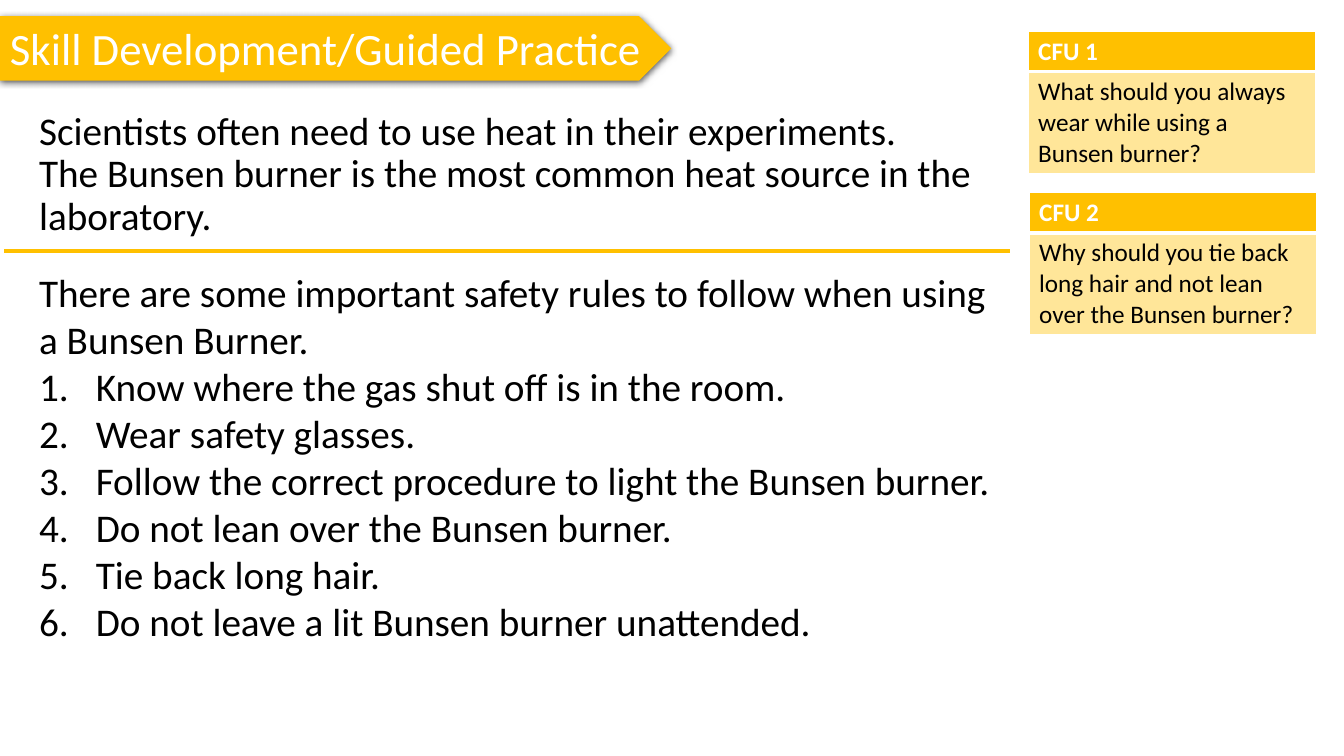
import pptx
import pptx.dml.color
import pptx.enum.shapes
import pptx.enum.text
import pptx.oxml
import pptx.oxml.ns
import pptx.util

Pt = pptx.util.Pt
RGBColor = pptx.dml.color.RGBColor
GOLD = RGBColor(0xFF, 0xC0, 0x00)
CREAM = RGBColor(0xFF, 0xE6, 0x99)
WHITE = RGBColor(0xFF, 0xFF, 0xFF)
BLACK = RGBColor(0x00, 0x00, 0x00)
FONT = "Calibri"
NS = pptx.oxml.ns.nsdecls("a")

INTRO = [
    "Scientists often need to use heat in their experiments.",
    "The Bunsen burner is the most common heat source in the laboratory.",
]
RULES_LEAD = "There are some important safety rules to follow when using a Bunsen Burner."
RULES = [
    "Know where the gas shut off is in the room.",
    "Wear safety glasses.",
    "Follow the correct procedure to light the Bunsen burner.",
    "Do not lean over the Bunsen burner.",
    "Tie back long hair.",
    "Do not leave a lit Bunsen burner unattended.",
]
CHECKS = [
    ("CFU 1", "What should you always wear while using a Bunsen burner?", 734.4, 22.3),
    ("CFU 2", "Why should you tie back long hair and not lean over the Bunsen burner?", 735.1, 137.5),
]


def style(p, size, color, bold=False):
    """Set the font of every run in a paragraph."""
    for r in p.runs:
        r.font.name = FONT
        r.font.size = Pt(size)
        r.font.bold = bold
        r.font.color.rgb = color


def add_banner(s, text, x, y, w, h):
    """Draw the arrow-shaped title banner with its soft shadow."""
    sp = s.shapes.add_shape(pptx.enum.shapes.MSO_SHAPE.PENTAGON, Pt(x), Pt(y), Pt(w), Pt(h))
    sp.fill.solid()
    sp.fill.fore_color.rgb = GOLD
    sp.line.fill.background()
    sp.shadow.inherit = False
    effects = sp._element.spPr.find(pptx.oxml.ns.qn("a:effectLst"))
    effects.append(pptx.oxml.parse_xml(
        f'<a:outerShdw {NS} blurRad="{Pt(4.5)}" dist="{Pt(1.5)}" dir="5400000" rotWithShape="0">'
        '<a:srgbClr val="000000"><a:alpha val="63000"/></a:srgbClr></a:outerShdw>'))
    tf = sp.text_frame
    tf.word_wrap = False
    tf.auto_size = pptx.enum.text.MSO_AUTO_SIZE.SHAPE_TO_FIT_TEXT
    tf.vertical_anchor = pptx.enum.text.MSO_ANCHOR.TOP
    p = tf.paragraphs[0]
    p.text = text
    p.alignment = pptx.enum.text.PP_ALIGN.LEFT
    style(p, 32, WHITE)


def add_body(s, lines, x, y, w, h, spacing=1.0, numbered_from=None):
    """Write paragraphs in a box, numbering those from the given index on."""
    tf = s.shapes.add_textbox(Pt(x), Pt(y), Pt(w), Pt(h)).text_frame
    tf.word_wrap = True
    for i, line in enumerate(lines):
        p = tf.add_paragraph() if i else tf.paragraphs[0]
        p.text = line
        p.line_spacing = spacing
        if numbered_from is not None and i >= numbered_from:
            pPr = p._p.get_or_add_pPr()
            pPr.set("marL", str(Pt(40.5)))
            pPr.set("indent", str(-Pt(40.5)))
            pPr.append(pptx.oxml.parse_xml(f'<a:buFont {NS} typeface="+mj-lt"/>'))
            pPr.append(pptx.oxml.parse_xml(f'<a:buAutoNum {NS} type="arabicPeriod"/>'))
        style(p, 28, BLACK)


def add_divider(s, x, y, w):
    """Draw the horizontal rule between the two text blocks."""
    line = s.shapes.add_connector(
        pptx.enum.shapes.MSO_CONNECTOR.STRAIGHT, Pt(x), Pt(y), Pt(x + w), Pt(y))
    line.line.color.rgb = GOLD
    line.line.width = Pt(2.25)
    line._element.spPr.append(pptx.oxml.parse_xml(f"<a:effectLst {NS}/>"))


def set_borders(cell, widths):
    """Give a cell white borders: left, right, top, bottom."""
    tcPr = cell._tc.get_or_add_tcPr()
    for i, (side, width) in enumerate(zip("LRTB", widths)):
        tcPr.insert(i, pptx.oxml.parse_xml(
            f'<a:ln{side} {NS} w="{Pt(width)}"><a:solidFill><a:srgbClr val="{WHITE}"/>'
            f"</a:solidFill></a:ln{side}>"))


def add_check(s, title, question, x, y, w, h):
    """Draw a check-for-understanding card as a two-row table."""
    header_h = 28.1
    table = s.shapes.add_table(2, 1, Pt(x), Pt(y), Pt(w), Pt(h)).table
    table.horz_banding = False
    rows = [
        (title, header_h, GOLD, WHITE, True, (1, 1, 1, 3)),
        (question, h - header_h, CREAM, BLACK, False, (1, 1, 3, 1)),
    ]
    for i, (text, height, fill, color, bold, widths) in enumerate(rows):
        table.rows[i].height = Pt(height)
        cell = table.cell(i, 0)
        cell.text_frame.text = text
        cell.fill.solid()
        cell.fill.fore_color.rgb = fill
        style(cell.text_frame.paragraphs[0], 18, color, bold)
        set_borders(cell, widths)


def main():
    """Build the slide and save it."""
    prs = pptx.Presentation()
    prs.slide_width, prs.slide_height = Pt(960), Pt(540)
    s = prs.slides.add_slide(prs.slide_layouts[6])
    add_banner(s, "Skill Development/Guided Practice", 0, 11.5, 479.5, 46)
    add_divider(s, 2.9, 179.3, 718.5)
    add_body(s, [RULES_LEAD] + RULES, 20.9, 187.9, 702.7, 297.4, numbered_from=1)
    add_body(s, INTRO, 20.9, 76.3, 702.7, 77, spacing=0.9)
    for title, question, x, y in CHECKS:
        add_check(s, title, question, x, y, 205.2, 100.8)
    prs.save("out.pptx")


if __name__ == "__main__":
    main()
